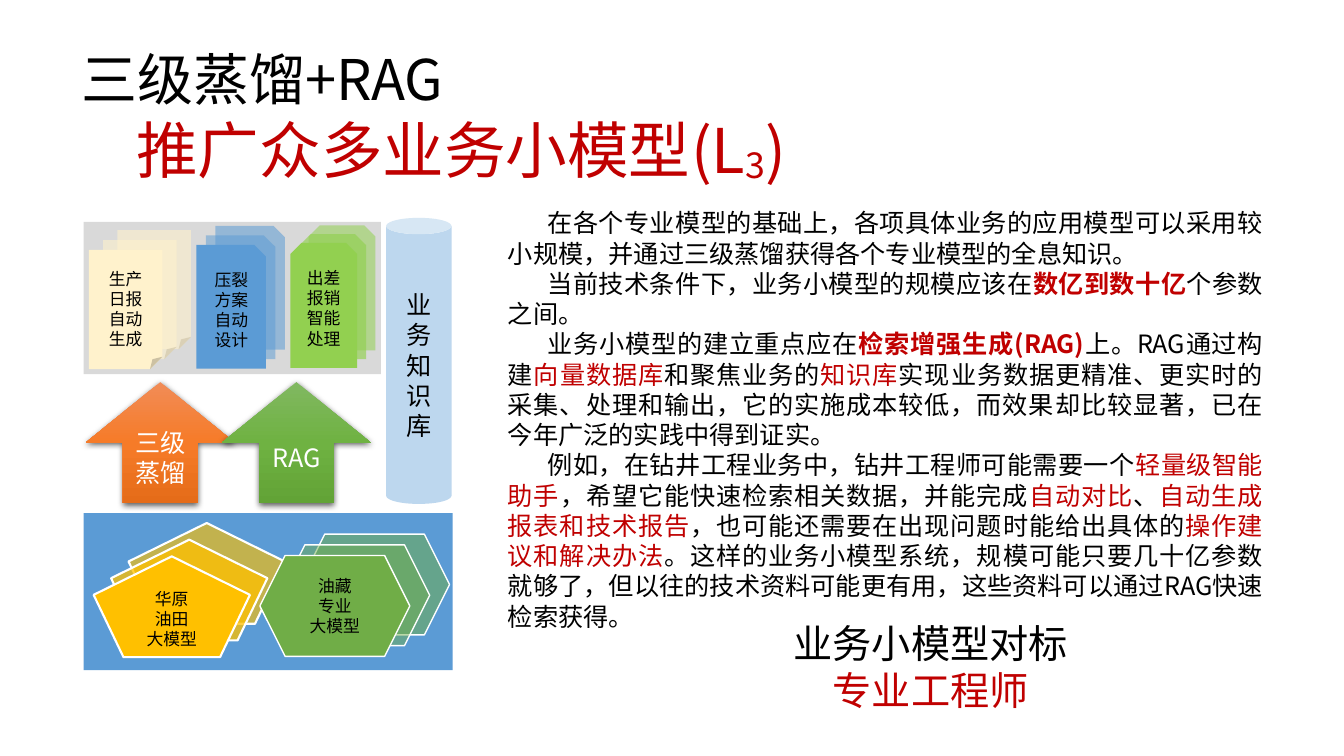
import pptx
import pptx.dml.color
import pptx.enum.shapes
import pptx.enum.text
import pptx.oxml
import pptx.oxml.ns
import pptx.util
from dataclasses import dataclass

Cm = pptx.util.Cm
Pt = pptx.util.Pt
SHAPE = pptx.enum.shapes.MSO_SHAPE
ALIGN = pptx.enum.text.PP_ALIGN
ANCHOR = pptx.enum.text.MSO_ANCHOR
NS = pptx.oxml.ns.nsdecls("a")


@dataclass(frozen=True)
class Theme:
    """Colours, font and type sizes of the slide."""
    font: str = "Noto Sans CJK SC"
    black: str = "000000"
    white: str = "FFFFFF"
    red: str = "C00000"
    grey: str = "D9D9D9"
    blue: str = "5B9BD5"
    pale_blue: str = "BDD7EE"
    gold: str = "FFC000"
    green: str = "70AD47"
    cream: str = "FFF2CC"
    lime: str = "92D050"
    orange_fade: tuple = ("F18C57", "F67B28", "E56C19")
    green_fade: tuple = ("81B861", "6FB242", "62A336")
    headline: int = 44
    title: int = 40
    callout: int = 28
    body: int = 18
    label: int = 12


def rgb(color):
    """Turn a hex string into a colour."""
    return pptx.dml.color.RGBColor.from_string(color)


def add_text(p, text, font, size, color, bold=False, baseline=None):
    """Add one formatted run to a paragraph."""
    r = p.add_run()
    r.text = text
    r.font.name = font
    r.font.size = Pt(size)
    r.font.color.rgb = rgb(color)
    r.font.bold = bold
    rPr = r._r.get_or_add_rPr()
    rPr.append(pptx.oxml.parse_xml(f'<a:ea {NS} typeface="{font}"/>'))
    if baseline:
        rPr.set("baseline", str(baseline * 1000))


class Deck:
    """Hold the style and the current slide, and draw its elements."""

    def __init__(self, theme):
        """Start a widescreen deck with one title-only slide."""
        self.theme = theme
        self.prs = pptx.Presentation()
        self.prs.slide_width = Cm(33.87)
        self.prs.slide_height = Cm(19.05)
        self.slide = self.prs.slides.add_slide(self.prs.slide_layouts[5])
        self.group = None

    def fill_frame(self, tf, paragraphs, size, color=None, align=ALIGN.CENTER, indent=0):
        """Fill a frame; each paragraph lists strings or (text, format) pairs."""
        for i, parts in enumerate(paragraphs):
            p = tf.paragraphs[0] if i == 0 else tf.add_paragraph()
            p.alignment = align
            if indent:
                pPr = p._p.get_or_add_pPr()
                pPr.set("marL", "0")
                pPr.set("indent", str(Cm(indent)))
            for part in [parts] if isinstance(parts, str) else parts:
                text, extra = (part, {}) if isinstance(part, str) else part
                fmt = {"font": self.theme.font, "size": size, "color": color or self.theme.black}
                add_text(p, text, **{**fmt, **extra})

    def title(self, box, first, second):
        """Place the title with an indented second line."""
        sp = self.slide.shapes.title
        sp.left, sp.top, sp.width, sp.height = map(Cm, box)
        tf = sp.text_frame
        tf.word_wrap = True
        tf.auto_size = pptx.enum.text.MSO_AUTO_SIZE.NONE
        tf.vertical_anchor = ANCHOR.TOP
        self.fill_frame(tf, [first, second], self.theme.title, align=ALIGN.LEFT)
        pPr = tf.paragraphs[1]._p.get_or_add_pPr()
        pPr.set("marL", str(Cm(1.38)))
        pPr.set("indent", "0")

    def text(self, box, paragraphs, size, wrap=True, **layout):
        """Place a text box."""
        tf = self.slide.shapes.add_textbox(*map(Cm, box)).text_frame
        tf.word_wrap = wrap
        tf.auto_size = pptx.enum.text.MSO_AUTO_SIZE.SHAPE_TO_FIT_TEXT
        self.fill_frame(tf, paragraphs, size, **layout)

    def shape(self, kind, box, fill, alpha=100, line=0, lines=(), size=12, color=None, insets=None):
        """Place a filled preset shape of the diagram."""
        if self.group is None:
            self.group = self.slide.shapes.add_group_shape()
        sp = self.group.shapes.add_shape(kind, *map(Cm, box))
        sp.shadow.inherit = False
        sp.fill.solid()
        sp.fill.fore_color.rgb = rgb(fill)
        if alpha < 100:
            clr = sp._element.spPr.find(".//" + pptx.oxml.ns.qn("a:srgbClr"))
            clr.append(pptx.oxml.parse_xml(f'<a:alpha {NS} val="{alpha * 1000}"/>'))
        if line:
            sp.line.color.rgb = rgb(self.theme.white)
            sp.line.width = Pt(line)
        else:
            sp.line.fill.background()
        if lines:
            tf = sp.text_frame
            tf.word_wrap = True
            tf.vertical_anchor = ANCHOR.MIDDLE
            if insets:
                tf.margin_left, tf.margin_top = map(Cm, insets)
            self.fill_frame(tf, lines, size, color)
        return sp

    def stack(self, kind, box, step, fill, alphas, lines, line=0, insets=None):
        """Place two translucent cards behind a labelled front card."""
        left, top, width, height = box
        for depth, alpha in zip((2, 1, 0), (*alphas, 100)):
            place = (left + depth * step[0], top - depth * step[1], width, height)
            self.shape(kind, place, fill, alpha, line, () if depth else lines,
                       self.theme.label, insets=insets)

    def arrow(self, left, fade, lines):
        """Place an upward block arrow with gradient and shadow."""
        sp = self.shape(SHAPE.UP_ARROW, (left, 9.63, 3.76, 3.05), fade[1], lines=lines,
                        size=self.theme.body, color=self.theme.white)
        spPr = sp._element.spPr
        stops = "".join(f'<a:gs pos="{i * 50000}"><a:srgbClr val="{c}"/></a:gs>'
                        for i, c in enumerate(fade))
        spPr.replace(spPr.find(pptx.oxml.ns.qn("a:solidFill")), pptx.oxml.parse_xml(
            f'<a:gradFill {NS} rotWithShape="1"><a:gsLst>{stops}</a:gsLst>'
            '<a:lin ang="5400000" scaled="0"/></a:gradFill>'))
        spPr.find(pptx.oxml.ns.qn("a:effectLst")).append(pptx.oxml.parse_xml(
            f'<a:outerShdw {NS} blurRad="{Pt(4.5)}" dist="{Pt(1.5)}" dir="5400000" '
            'algn="ctr" rotWithShape="0"><a:srgbClr val="000000">'
            '<a:alpha val="63000"/></a:srgbClr></a:outerShdw>'))


def main():
    """Build the slide and save it."""
    t = Theme()
    s = Deck(t)
    red = {"color": t.red}
    strong = {"color": t.red, "bold": True}
    head = {"color": t.red, "size": t.headline}

    s.title((1.8, 0.99, 19.18, 3.84), "三级蒸馏+RAG",
            [("推广众多业务小模型(L", head), ("3", {**head, "baseline": -8}), (")", head)])
    s.text((19.71, 15.49, 7.49, 2.64), ["业务小模型对标", [("专业工程师", red)]],
           t.callout, wrap=False)

    s.arrow(2.16, t.orange_fade, ["三级", "蒸馏"])
    s.arrow(5.59, t.green_fade, ["RAG"])
    s.shape(SHAPE.CAN, (9.73, 5.49, 1.65, 7.21), t.pale_blue, lines=["业务知识库"], size=t.body)

    s.shape(SHAPE.RECTANGLE, (2.11, 12.93, 9.3, 3.96), t.blue)
    s.stack(SHAPE.REGULAR_PENTAGON, (2.36, 14.02, 3.94, 2.54), (0.44, 0.42), t.gold, (63, 75),
            ["华原", "油田", "大模型"], line=1.5)
    s.stack(SHAPE.HEXAGON, (6.55, 14, 3.78, 2.54), (0.5, 0.27), t.green, (51, 47),
            ["油藏", "专业", "大模型"], line=1)

    s.shape(SHAPE.RECTANGLE, (2.11, 5.59, 7.49, 3.84), t.grey)
    s.stack(SHAPE.FOLDED_CORNER, (2.24, 6.3, 1.85, 3), (0.36, 0.25), t.cream, (58, 57),
            ["生产", "日报", "自动", "生成"], insets=(0.25, 0.41))
    s.stack(SHAPE.SNIP_1_RECTANGLE, (4.95, 6.17, 1.75, 3.12), (0.24, 0.24), t.blue, (54, 51),
            ["压裂", "方案", "自动", "设计"], insets=(0.41, 0.13))
    s.stack(SHAPE.SNIP_2_SAME_RECTANGLE, (7.32, 6.12, 1.68, 3.15), (0.23, 0.22), t.lime, (54, 66),
            ["出差", "报销", "智能", "处理"])

    s.text((12.55, 5.11, 19.53, 11.02), [
        "在各个专业模型的基础上，各项具体业务的应用模型可以采用较小规模，并通过三级蒸馏获得各个专业模型的全息知识。",
        ["当前技术条件下，业务小模型的规模应该在", ("数亿到数十亿", strong), "个参数之间。"],
        ["业务小模型的建立重点应在", ("检索增强生成(RAG)", strong), "上。RAG通过构建",
         ("向量数据库", red), "和聚焦业务的", ("知识库", red),
         "实现业务数据更精准、更实时的采集、处理和输出，它的实施成本较低，而效果却比较显著，已在今年广泛的实践中得到证实。"],
        ["例如，在钻井工程业务中，钻井工程师可能需要一个", ("轻量级智能助手", red),
         "，希望它能快速检索相关数据，并能完成", ("自动对比", red), "、",
         ("自动生成报表和技术报告", red), "，也可能还需要在出现问题时能给出具体的",
         ("操作建议和解决办法", red),
         "。这样的业务小模型系统，规模可能只要几十亿参数就够了，但以往的技术资料可能更有用，这些资料可以通过RAG快速检索获得。"],
    ], t.body, align=ALIGN.JUSTIFY, indent=1)

    s.prs.save("out.pptx")


if __name__ == "__main__":
    main()
